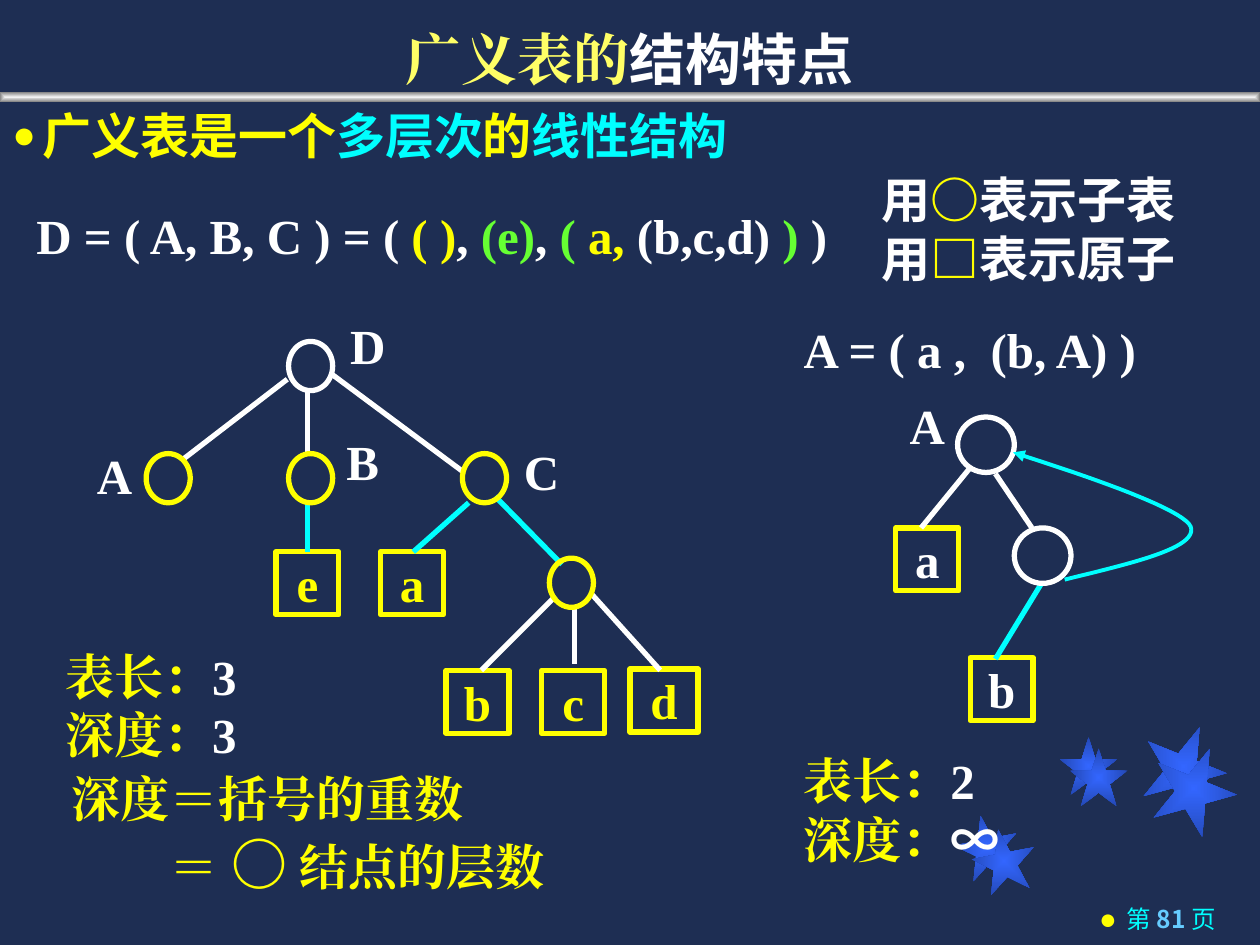
import pptx
import pptx.util
import pptx.dml.color
import pptx.enum.dml
import pptx.enum.lang
import pptx.enum.shapes
import pptx.enum.text
import pptx.oxml.ns
from dataclasses import dataclass
from typing import NamedTuple, Optional
from lxml import etree

COLUMNS, ROWS = 100, 75
SERIF, SANS, CHINESE = "Times New Roman", "Arial", "Noto Sans CJK SC"
WHITE, YELLOW, CYAN, GREEN = "FFFFFF", "FFFF00", "00FFFF", "66FF33"
SHAPES = pptx.enum.shapes.MSO_SHAPE
ALIGN = pptx.enum.text.PP_ALIGN
ANCHOR = pptx.enum.text.MSO_ANCHOR

presentation = pptx.Presentation()
presentation.slide_width = pptx.util.Inches(10)
presentation.slide_height = pptx.util.Inches(7.5)
CELL = presentation.slide_width // COLUMNS
slide = presentation.slides.add_slide(presentation.slide_layouts[6])


class Box(NamedTuple):
    column: float
    row: float
    columns: float
    rows: float


class Run(NamedTuple):
    text: str
    color: str = WHITE
    font: Optional[str] = None
    size: Optional[float] = None
    bold: Optional[bool] = None


@dataclass
class Line:
    runs: list
    size: float = 28
    spacing: Optional[float] = 33.5
    font: str = SERIF
    bold: bool = True
    align: Optional[int] = None
    indent: float = 0
    bullet_percent: int = 0


class Node(NamedTuple):
    column: float
    row: float
    color: str
    columns: float = 3.5
    rows: float = 3.9


class Atom(NamedTuple):
    text: str
    column: float
    row: float
    color: str = YELLOW
    columns: float = 5


class Edge(NamedTuple):
    start: tuple
    end: tuple
    color: str = WHITE


def cells(values) -> list:
    return [round(value * CELL) for value in values]


def rgb(color: str):
    return pptx.dml.color.RGBColor.from_string(color)


def add_element(parent, tag: str, **attributes):
    return etree.SubElement(parent, pptx.oxml.ns.qn(tag), **attributes)


def write_line(paragraph, line: Line) -> None:
    if line.align is not None:
        paragraph.alignment = line.align
    if line.spacing:
        paragraph.line_spacing = pptx.util.Pt(line.spacing)
    properties = paragraph._p.get_or_add_pPr()
    if line.indent:
        properties.set("marL", str(round(line.indent * CELL)))
    if line.bullet_percent:
        properties.set("indent", str(-round(line.indent * CELL)))
        add_element(add_element(properties, "a:buClr"), "a:srgbClr", val=YELLOW)
        add_element(properties, "a:buSzPct", val=str(line.bullet_percent * 1000))
        add_element(properties, "a:buFont", typeface=SANS)
        add_element(properties, "a:buChar", char="●")
    paragraph.font.name = line.font
    paragraph.font.size = pptx.util.Pt(line.size)
    paragraph.font.bold = line.bold
    for item in line.runs:
        run = paragraph.add_run()
        run.text = item.text
        run.font.color.rgb = rgb(item.color)
        run.font.language_id = pptx.enum.lang.MSO_LANGUAGE_ID.SIMPLIFIED_CHINESE
        if item.font:
            run.font.name = item.font
        if item.size:
            run.font.size = pptx.util.Pt(item.size)
        if item.bold is not None:
            run.font.bold = item.bold
        add_element(run._r.get_or_add_rPr(), "a:ea", typeface=item.font or line.font)


def add_text(box: Box, *lines: Line, anchor=ANCHOR.TOP) -> None:
    frame = slide.shapes.add_textbox(*cells(box)).text_frame
    frame.word_wrap = True
    frame.vertical_anchor = anchor
    for index, line in enumerate(lines):
        write_line(frame.add_paragraph() if index else frame.paragraphs[0], line)


def add_outline(kind, box: Box, color: str):
    shape = slide.shapes.add_shape(kind, *cells(box))
    shape.shadow.inherit = False
    shape.fill.background()
    shape.line.color.rgb = rgb(color)
    shape.line.width = pptx.util.Pt(3)
    return shape


def add_node(node: Node) -> None:
    add_outline(SHAPES.OVAL, Box(node.column, node.row, node.columns, node.rows), node.color)


def add_atom(atom: Atom) -> None:
    shape = add_outline(SHAPES.RECTANGLE, Box(atom.column, atom.row, atom.columns, 5), YELLOW)
    frame = shape.text_frame
    frame.word_wrap = False
    frame.vertical_anchor = ANCHOR.MIDDLE
    write_line(frame.paragraphs[0], Line([Run(atom.text, atom.color)], align=ALIGN.CENTER))


def add_edge(edge: Edge) -> None:
    connector = slide.shapes.add_connector(
        pptx.enum.shapes.MSO_CONNECTOR.STRAIGHT, *cells(edge.start + edge.end))
    connector.line.color.rgb = rgb(edge.color)
    connector.line.width = pptx.util.Pt(3)
    add_element(connector._element.spPr, "a:effectLst")


def add_glow(kind, box: Box, center: str, border: str, rotation: float = 0) -> None:
    shape = slide.shapes.add_shape(kind, *cells(box))
    shape.shadow.inherit = False
    shape.rotation = rotation
    shape.line.fill.background()
    shape.fill.gradient()
    for stop, color in zip(shape.fill.gradient_stops, (center, border)):
        stop.color.rgb = rgb(color)
    gradient = shape._element.spPr.find(pptx.oxml.ns.qn("a:gradFill"))
    gradient.remove(gradient.find(pptx.oxml.ns.qn("a:lin")))
    middle = dict.fromkeys("ltrb", "50000")
    add_element(add_element(gradient, "a:path", path="shape"), "a:fillToRect", **middle)


def bezier(points: tuple, steps: int = 24) -> list:
    a, b, c, d = points
    shares = [step / steps for step in range(1, steps + 1)]
    return [tuple((1 - t) ** 3 * p + 3 * (1 - t) ** 2 * t * q + 3 * (1 - t) * t * t * r + t ** 3 * s
                  for p, q, r, s in zip(a, b, c, d)) for t in shares]


def add_return_arrow(start: tuple, bend: tuple, end: tuple, handles: tuple) -> None:
    points = bezier((start, handles[0], handles[1], bend)) + bezier((bend, handles[2], handles[3], end))
    builder = slide.shapes.build_freeform(*cells(start))
    builder.add_line_segments([cells(point) for point in points], close=False)
    shape = builder.convert_to_shape()
    shape.shadow.inherit = False
    shape.fill.background()
    shape.line.color.rgb = rgb(CYAN)
    shape.line.width = pptx.util.Pt(2.25)
    add_element(shape.line._get_or_add_ln(), "a:tailEnd", type="triangle")


def measures(length: str, depth: Run) -> list:
    return [Line([Run("表长：", YELLOW), Run(length)]), Line([Run("深度：", YELLOW), depth])]


slide.background.fill.solid()
slide.background.fill.fore_color.rgb = rgb("1E2E53")
for column, row, size, rotation in [(75.8, 64.7, 5, 349), (84.1, 58.5, 4.6, 0), (90.6, 57.5, 6.7, 22),
                                    (77.2, 65.8, 5, 349), (84.9, 59.4, 4.6, 0), (91.4, 59.2, 6.7, 22)]:
    add_glow(SHAPES.STAR_5_POINT, Box(column, row, size, size), "3366FF", "2449B6", rotation)
add_glow(SHAPES.RECTANGLE, Box(0, 7.3, COLUMNS, 0.8), "F2F2F2", "808080")

add_text(Box(71.2, 71.4, 26.3, 3.6),
         Line([Run("第 ", CYAN), Run("81 ", "66CCFF", bold=True), Run("页", CYAN)], 14, 16, CHINESE, False,
              ALIGN.RIGHT, 2.2, 120))
add_text(Box(0, 0, COLUMNS, 7.8),
         Line([Run("广义表的", "FFFF66"), Run("结构特点", WHITE, CHINESE)], 32, None, align=ALIGN.CENTER),
         anchor=ANCHOR.BOTTOM)
add_text(Box(0, 7.4, COLUMNS, 5.8),
         Line([Run("广义表是一个", YELLOW), Run("多层次", CYAN), Run("的", YELLOW), Run("线性结构", CYAN)],
              spacing=36.8, font=SANS, indent=2.4, bullet_percent=80))
add_text(Box(1.9, 15.8, 80.8, 5.7),
         Line([Run("D = ( A, B, C ) = ( "), Run("( )", YELLOW), Run(", "), Run("(e)", GREEN), Run(", "),
               Run("(", GREEN), Run(" a, ", YELLOW), Run("(b,c,d) "), Run(")", GREEN), Run(" )")]))
add_text(Box(69, 13, 27.6, 10.3),
         *[Line([Run("用"), Run(symbol, YELLOW, CHINESE), Run(meaning)], font=SANS)
           for symbol, meaning in (("○", "表示子表"), ("□", "表示原子"))])
for label, column, row, width in [("A", 6.7, 34.9, 4.2), ("B", 26.5, 33.8, 5.3), ("D", 26.8, 24.6, 5),
                                  ("C", 40.6, 34.6, 9.2), ("A", 71.2, 30.9, 4.2),
                                  ("A = ( a ,  (b, A) )", 62.8, 24.9, 30.8)]:
    add_text(Box(column, row, width, 5.7), Line([Run(label)]))

for atom in [Atom("e", 21.9, 43.8), Atom("a", 30.2, 43.8), Atom("b", 35.4, 53.2), Atom("c", 43, 53.2),
             Atom("d", 50, 53.1, columns=5.4), Atom("a", 71.1, 41.9, WHITE), Atom("b", 77, 52.2, WHITE)]:
    add_atom(atom)
for edge in [Edge((22.8, 30.1), (14.6, 36.4)), Edge((24.4, 31), (24.4, 36)), Edge((26.2, 29.6), (36.7, 37.4)),
             Edge((24.4, 39.9), (24.4, 43.8), CYAN), Edge((37.2, 39.9), (32.8, 43.8), CYAN),
             Edge((39.3, 39.4), (44.6, 44.8), CYAN), Edge((44.1, 47.3), (38.2, 53.2)),
             Edge((45.6, 48.3), (45.6, 52.7)), Edge((47, 47.2), (52.4, 53.2)),
             Edge((77.1, 37), (73.1, 41.9)), Edge((79, 37.6), (81.9, 41.9)),
             Edge((82.6, 46.4), (79, 52.3), CYAN)]:
    add_edge(edge)
for node in [Node(22.9, 27.1, WHITE), Node(11.6, 36, YELLOW), Node(22.9, 36, YELLOW), Node(36.7, 36, YELLOW),
             Node(43.6, 44.3, YELLOW), Node(76, 33.1, WHITE, 4.5, 4.4), Node(80.5, 41.9, WHITE, 4.5, 4.4)]:
    add_node(node)
add_return_arrow((84.5, 46), (94.5, 41.8), (80.4, 35.9),
                 ((89.8, 44.7), (95.1, 43.5), (93.8, 40.1), (82.8, 36.7)))

add_text(Box(4.2, 50.8, 18.2, 10.3), *measures("3", Run("3")))
add_text(Box(62.8, 59.1, 20.7, 10.3), *measures("2", Run("∞", WHITE, CHINESE)))
add_text(Box(4.7, 60.5, 40.3, 11), Line([Run("深度＝括号的重数", YELLOW)]),
         Line([Run("＝ ", YELLOW), Run("○", YELLOW, CHINESE, 32), Run(" 结点的层数", YELLOW)],
              spacing=40, indent=7.8))

presentation.save("out.pptx")
